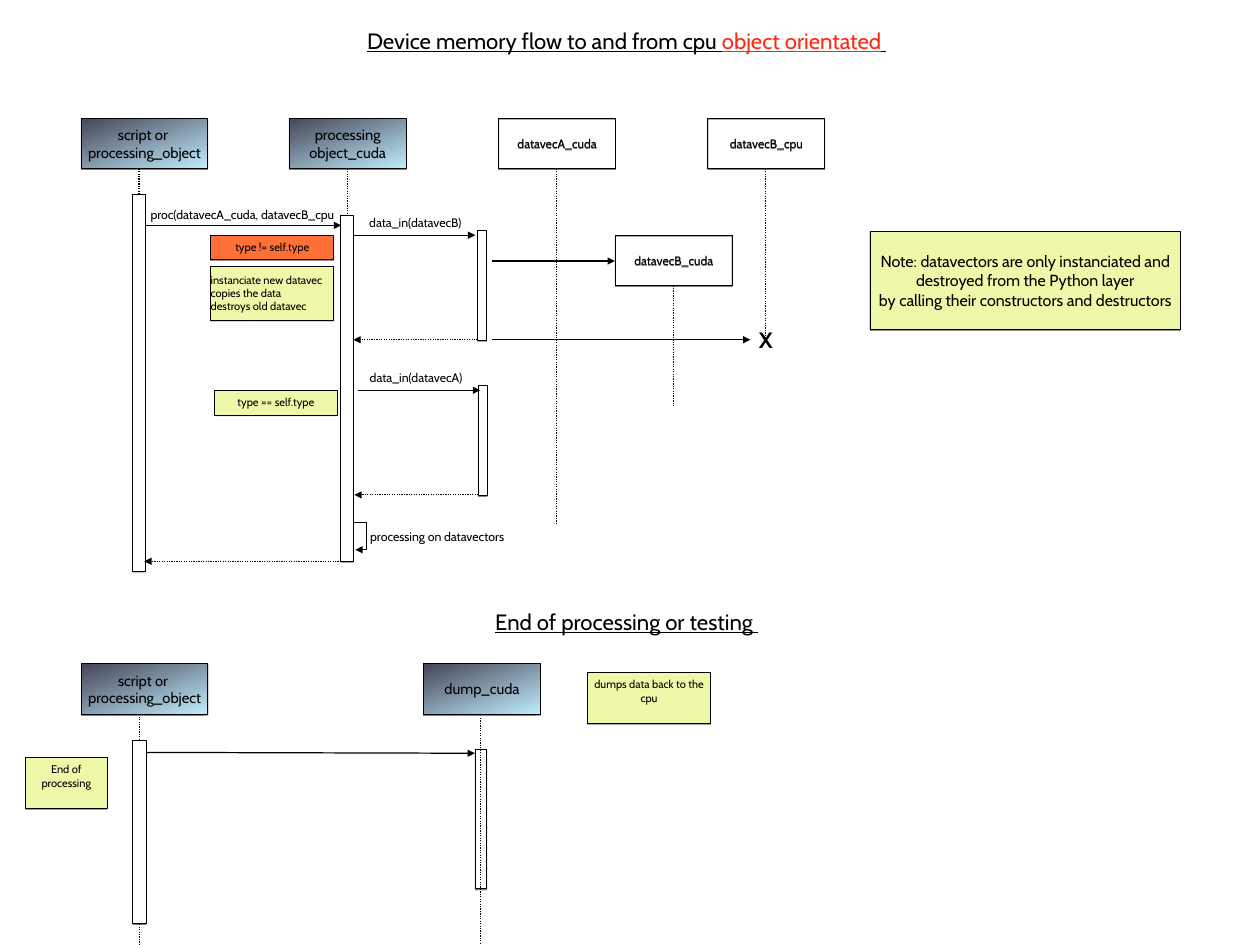
import dataclasses

import lxml.etree
import pptx
import pptx.dml.color
import pptx.enum.dml
import pptx.enum.shapes
import pptx.enum.text
import pptx.oxml.ns
import pptx.util

Pt = pptx.util.Pt
qn = pptx.oxml.ns.qn
Align = pptx.enum.text.PP_ALIGN
Anchor = pptx.enum.text.MSO_ANCHOR


@dataclasses.dataclass(frozen=True)
class Theme:
    """Colours, type sizes and line widths of the slide."""
    font: str = "Cabin"
    ink: str = "000000"
    paper: str = "FFFFFF"
    light: str = "C0EDFE"
    dark: str = "464658"
    lime: str = "EFF7A9"
    alert: str = "FE7038"
    red: str = "FF2712"
    title: int = 18
    remark: int = 13
    head: int = 12
    label: int = 10
    note: int = 9
    edge: float = 0.75
    thin: float = 0.5
    wire: float = 1


THEME = Theme()
HEAD = (95, 41)
WIDE = (102.6, 41)
TAG = (100, 20)


def tint(code):
    """Return the colour for a hex code."""
    return pptx.dml.color.RGBColor.from_string(code)


def node(parent, tag, **attrs):
    """Add a child element and return it."""
    return lxml.etree.SubElement(parent, qn(tag), **attrs)


def write(frame, lines, size, align=Align.CENTER, anchor=Anchor.MIDDLE, top=0,
          wrap=True, bold=False, line=False):
    """Fill a frame with paragraphs, each a list of text and colour pairs."""
    frame.word_wrap = wrap
    frame.vertical_anchor = anchor
    frame.margin_left = frame.margin_right = frame.margin_bottom = 0
    frame.margin_top = Pt(top)
    for index, parts in enumerate(lines):
        para = frame.add_paragraph() if index else frame.paragraphs[0]
        para.alignment = align
        for words, code in parts:
            run = para.add_run()
            run.text = words
            run.font.name = THEME.font
            run.font.size = Pt(size)
            run.font.bold = bold
            run.font.underline = line
            run.font.color.rgb = tint(code)


def plain(*lines):
    """Turn strings into paragraphs of one ink run each."""
    return [[(words, THEME.ink)] for words in lines]


def stroke(shape, width, arrow=False, dots=False):
    """Set the outline of a shape or connector."""
    shape.line.color.rgb = tint(THEME.ink)
    shape.line.width = Pt(width)
    if dots:
        shape.line.dash_style = pptx.enum.dml.MSO_LINE.ROUND_DOT
    if arrow:
        node(shape.element.spPr.find(qn("a:ln")), "a:tailEnd", type="triangle")


@dataclasses.dataclass
class Area:
    """A part of the slide that draws from its own corner."""
    slide: object
    left: float
    top: float

    def spot(self, x, y):
        """Return a point of the area in slide units."""
        return Pt(self.left + x), Pt(self.top + y)

    def box(self, x, y, size, fill=None, width=THEME.edge):
        """Draw a rectangle with a thin drop shadow."""
        kind = pptx.enum.shapes.MSO_SHAPE.RECTANGLE
        shape = self.slide.shapes.add_shape(kind, *self.spot(x, y), *map(Pt, size))
        if fill == "blend":
            shape.fill.gradient()
            shape.fill.gradient_angle = 110
            for stop, code in zip(shape.fill.gradient_stops, (THEME.light, THEME.dark)):
                stop.color.rgb = tint(code)
        elif fill:
            shape.fill.solid()
            shape.fill.fore_color.rgb = tint(fill)
        else:
            shape.fill.background()
        stroke(shape, width)
        shape.shadow.inherit = False
        cast = node(shape.element.spPr.find(qn("a:effectLst")), "a:outerShdw",
                    blurRad="0", dist="9525", dir="5400000", rotWithShape="0")
        shade = node(cast, "a:srgbClr", val=THEME.ink)
        node(shade, "a:alpha", val="50000")
        return shape

    def head(self, x, y, size, *lines, fill=None):
        """Draw the named box at the top of a lifeline."""
        shape = self.box(x, y, size, fill)
        write(shape.text_frame, plain(*lines), THEME.head if fill else THEME.label)

    def note(self, x, y, size, *lines, fill=THEME.lime, type_size=THEME.note, **style):
        """Draw a coloured note."""
        shape = self.box(x, y, size, fill, THEME.thin)
        write(shape.text_frame, plain(*lines), type_size, **style)

    def text(self, x, y, size, lines, type_size, **style):
        """Place free text."""
        shape = self.slide.shapes.add_textbox(*self.spot(x, y), *map(Pt, size))
        write(shape.text_frame, lines, type_size, **style)

    def wire(self, start, end, arrow=True, dots=False):
        """Draw a straight line or arrow."""
        kind = pptx.enum.shapes.MSO_CONNECTOR.STRAIGHT
        line = self.slide.shapes.add_connector(kind, *self.spot(*start), *self.spot(*end))
        stroke(line, THEME.wire, arrow, dots)
        node(line.element.spPr, "a:effectLst")

    def life(self, x, top, end):
        """Draw a dotted lifeline."""
        self.wire((x, top), (x, end), arrow=False, dots=True)

    def loop(self, x, y, wide, tall):
        """Draw an arrow that turns back to its own bar."""
        path = self.slide.shapes.build_freeform(*self.spot(x, y))
        path.add_line_segments([self.spot(x + wide, y), self.spot(x + wide, y + tall),
                                self.spot(x + 0.75, y + tall)], close=False)
        shape = path.convert_to_shape()
        shape.fill.background()
        shape.shadow.inherit = False
        stroke(shape, THEME.wire, arrow=True)


def title(slide, left, top, *parts):
    """Write an underlined heading."""
    Area(slide, left, top).text(0, 0, (824, 30), [parts], THEME.title,
                                anchor=Anchor.BOTTOM, line=True)


def flow(slide, left, top):
    """Draw the sequence of memory flow."""
    area = Area(slide, left, top)
    for x, start, end in ((46.8, 41, 280), (216, 41, 191), (386, 41, 330),
                          (555.8, 41, 180), (481, 136, 235)):
        area.life(x, start, end)
    area.head(0, 0, WIDE, "script or ", "processing_object", fill="blend")
    area.head(168.9, 0, HEAD, "processing", "object_cuda", fill="blend")
    for x, y, name in ((339, 0, "datavecA_cuda"), (509, 0, "datavecB_cpu"),
                       (433.8, 95, "datavecB_cuda")):
        area.head(x, y, HEAD, name)
    for x, y, wide, tall in ((41.8, 62, 10, 306), (210.8, 79, 10, 281),
                             (322, 91.5, 7.2, 89), (322.5, 217.5, 7.2, 89)):
        area.box(x, y, (wide, tall), THEME.paper)
    for start, end, y in ((52, 211, 87), (221, 320, 95), (334, 433.5, 116),
                          (334, 543.6, 180), (224.6, 324, 221)):
        area.wire((start, y), (end, y))
    for start, end, y in ((322, 221, 180), (322.5, 221.8, 306), (211, 51, 360)):
        area.wire((start, y), (end, y), dots=True)
    area.loop(221.8, 328.3, 10, 22.3)
    for x, y, wide, words in ((49, 72, 163.5, "proc(datavecA_cuda, datavecB_cpu"),
                              (229.7, 78.5, 83, "data_in(datavecB)"),
                              (230.4, 204.5, 83, "data_in(datavecA)"),
                              (227.5, 333.5, 123, "processing on datavectors")):
        area.text(x, y, (wide, 12.2), plain(words), THEME.label, wrap=False)
    area.text(550, 168.7, (12, 21.6), plain("X"), THEME.title, wrap=False, bold=True)
    area.note(105, 95, TAG, "type != self.type", fill=THEME.alert)
    area.note(105, 120, (100, 44), "instanciate new datavec", "copies the data",
              "destroys old datavec", align=Align.LEFT)
    area.note(108, 221, TAG, "type == self.type")


def remark(slide, left, top):
    """Draw the note on the Python layer."""
    Area(slide, left, top).note(
        0, 0, (252, 80),
        "Note: datavectors are only instanciated and destroyed from the Python layer",
        "by calling their constructors and destructors", type_size=THEME.remark)


def finish(slide, left, top):
    """Draw the sequence that ends the processing."""
    area = Area(slide, left, top)
    area.life(92.2, 41, 228)
    area.head(45.4, 0, WIDE, "script or ", "processing_object", fill="blend")
    area.head(323.3, 0, HEAD, "dump_cuda", fill="blend")
    area.box(87, 62, (10.8, 149), THEME.paper)
    area.box(365.3, 70, (9.4, 113), THEME.paper)
    area.wire((98, 72), (365, 72.7))
    area.life(369.4, 44, 228)
    for x, y, wide, words in ((0, 76, 66, "End of processing"),
                              (456.5, 6.9, 100, "dumps data back to the cpu")):
        area.note(x, y, (wide, 41.5), words, anchor=Anchor.TOP, top=4.5)


def main():
    """Build the slide and save it."""
    deck = pptx.Presentation()
    deck.slide_width, deck.slide_height = Pt(1023.88), Pt(767.87)
    slide = deck.slides.add_slide(deck.slide_layouts[6])
    title(slide, 97.2, 13.7, ("Device memory flow to and from cpu ", THEME.ink),
          ("object orientated", THEME.red), (" ", THEME.ink))
    flow(slide, 66.2, 96.1)
    remark(slide, 707, 188)
    title(slide, 97.2, 486, ("End of processing or testing ", THEME.ink))
    finish(slide, 20.9, 539.4)
    deck.save("out.pptx")


main()
